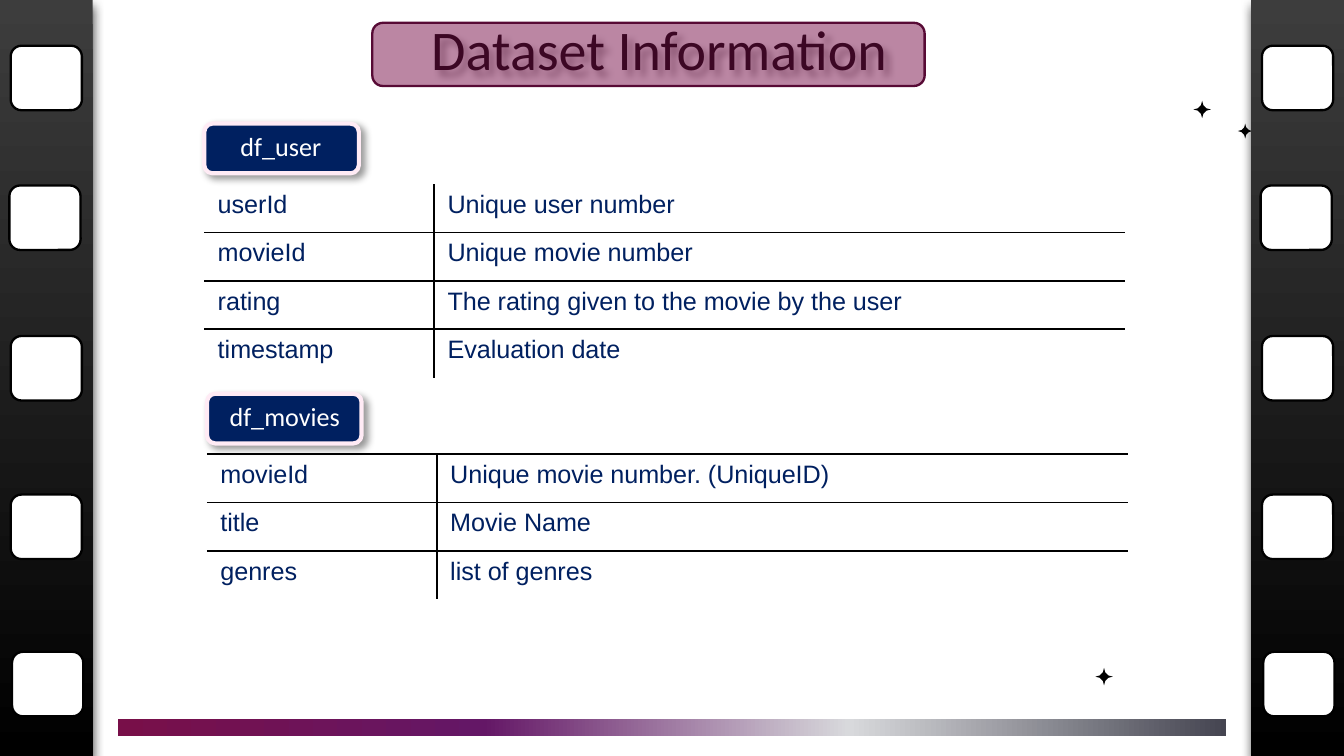
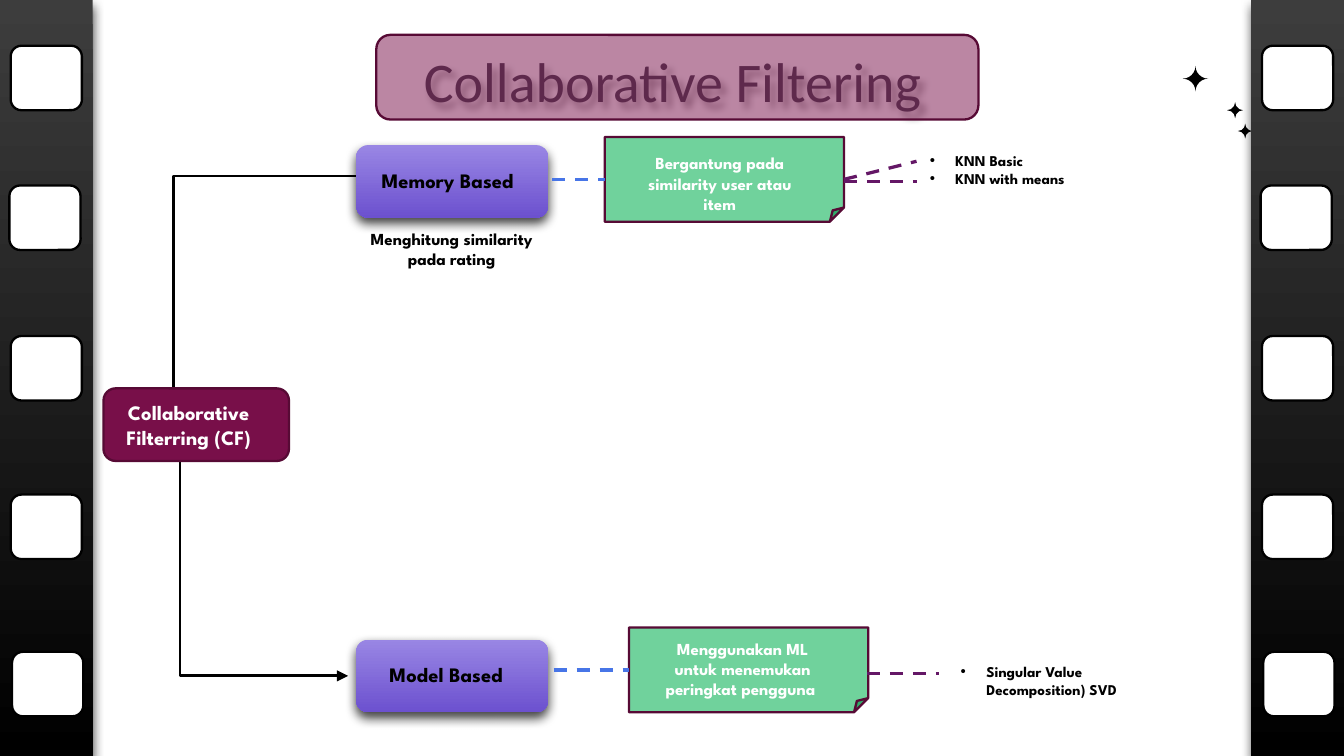
import pptx
import pptx.dml.color
import pptx.enum.dml
import pptx.enum.shapes
import pptx.enum.text
import pptx.oxml
import pptx.oxml.ns
import pptx.util

Inches, Pt = pptx.util.Inches, pptx.util.Pt
Kind = pptx.enum.shapes.MSO_SHAPE
Link = pptx.enum.shapes.MSO_CONNECTOR
Align = pptx.enum.text.PP_ALIGN
qn = pptx.oxml.ns.qn

WIDE = 10
HIGH = WIDE * 9 / 16
BLACK, WHITE, NAVY, WINE, PLUM = "000000", "FFFFFF", "002060", "780F49", "570A35"
BLUE, VIOLET, GREEN, SLATE = "4775E7", "641766", "00B050", "454551"
EDGE = (PLUM, 1.25)
DEEP = (75, 6, 3, 90)  # shadow: opacity, blur, distance, angle
SOFT = (40, 4, 3, 45)
FILM = [(0, "3D3D3D"), (100, BLACK)]
PURPLE = [(0, "9986E4"), (100, "6C51CF")]
BAND = [(0, WINE), (33, VIOLET), (66, "D8D9DC"), (100, SLATE)]
HOLES = [(0.08, 0.34), (0.07, 1.38), (0.08, 2.5), (0.08, 3.68), (0.09, 4.85)]
RIGHT = 9.31
HEAD = "League Spartan"

# label text, its left edge and width, table corner, top rule, rows
TABLES = [
    ("df_user", 1.69, 1.02, (1.52, 1.37), False, [
        ("userId", "Unique user number"),
        ("movieId", "Unique movie number"),
        ("rating", "The rating given to the movie by the user"),
        ("timestamp", "Evaluation date"),
    ]),
    ("df_movies", 1.61, 1.16, (1.54, 3.38), True, [
        ("movieId", "Unique movie number. (UniqueID)"),
        ("title", "Movie Name"),
        ("genres", "list of genres"),
    ]),
]

# method: name and box, note and its text, dash start, list and box, list line
METHODS = [
    {"top": 1.08, "name": ("Memory Based", (2.74, 1.2, 1.52, 0.29)),
     "note": (4.5, 1.02), "text": "Bergantung pada similarity user atau item",
     "spot": (4.61, 1.09), "dash": 4.11,
     "list": (["KNN Basic", "KNN with means"], (6.82, 1.08, 1.48, 0.37)),
     "free": (6.28, 1.35)},
    {"top": 4.76, "name": ("Model Based", (2.8, 4.88, 1.24, 0.29)),
     "note": (4.68, 4.67), "text": "Menggunakan ML untuk menemukan peringkat pengguna ",
     "spot": (4.78, 4.7), "dash": 4.12,
     "list": (["Singular Value Decomposition) SVD"], (7.05, 4.88, 1.48, 0.5)),
     "free": (6.45, 5.01)},
]


def rgb(code):
    return pptx.dml.color.RGBColor.from_string(code)


def xml(tag, inner="", **attrs):
    pairs = "".join(f' {key}="{val}"' for key, val in attrs.items())
    decl = pptx.oxml.ns.nsdecls("a")
    return pptx.oxml.parse_xml(f"<a:{tag} {decl}{pairs}>{inner}</a:{tag}>")


def glow(alpha, blur, dist, angle):
    """Effect list with one outer black shadow."""
    return xml("effectLst", f'<a:outerShdw blurRad="{Pt(blur)}" dist="{Pt(dist)}" '
               f'dir="{angle * 60000}" algn="ctr" rotWithShape="0"><a:srgbClr val="{BLACK}">'
               f'<a:alpha val="{alpha * 1000}"/></a:srgbClr></a:outerShdw>')


def blend(shape, stops, angle):
    """Fill with any number of gradient stops."""
    shape.fill.background()
    old = shape._element.spPr.find(qn("a:noFill"))
    marks = "".join(f'<a:gs pos="{pos * 1000}"><a:srgbClr val="{code}"/></a:gs>'
                    for pos, code in stops)
    new = xml("gradFill", f'<a:gsLst>{marks}</a:gsLst><a:lin ang="{angle * 60000}" '
              'scaled="0"/>', rotWithShape=1)
    old.getparent().replace(old, new)


def block(shapes, kind, at, fill, line=None, alpha=None, shade=None, angle=90):
    shape = shapes.add_shape(kind, *map(Inches, at))
    if isinstance(fill, str):
        shape.fill.solid()
        shape.fill.fore_color.rgb = rgb(fill)
    else:
        blend(shape, fill, angle)
    if alpha:
        tint = shape._element.spPr.find(qn("a:solidFill")).find(qn("a:srgbClr"))
        tint.append(xml("alpha", val=alpha * 1000))
    if line:
        shape.line.color.rgb = rgb(line[0])
        shape.line.width = Pt(line[1])
    else:
        shape.line.fill.background()
    shape.shadow.inherit = False
    if shade:
        props = shape._element.spPr
        props.replace(props.find(qn("a:effectLst")), glow(*shade))
    return shape


def style(run, size, face, code, bold=False):
    run.font.size, run.font.name, run.font.bold = Pt(size), face, bold
    run.font.color.rgb = rgb(code)


def text(slide, at, lines, size, face, code, bold=False, align=Align.LEFT,
         bullet=False, grow=True):
    box = slide.shapes.add_textbox(*map(Inches, at))
    frame = box.text_frame
    frame.word_wrap = True
    if grow:
        frame.auto_size = pptx.enum.text.MSO_AUTO_SIZE.SHAPE_TO_FIT_TEXT
    for num, line in enumerate(lines):
        par = frame.add_paragraph() if num else frame.paragraphs[0]
        par.alignment = align
        if bullet:
            props = par._p.get_or_add_pPr()
            props.set("marL", str(Inches(0.19)))
            props.set("indent", str(-Inches(0.19)))
            props.append(xml("buClr", f'<a:srgbClr val="{code}"/>'))
            props.append(xml("buFont", typeface="Arial"))
            props.append(xml("buChar", char="•"))
        run = par.add_run()
        run.text = line
        style(run, size, face, code, bold)
    return box


def title(slide, words, left, top, code):
    box = text(slide, (left, top, 8.43, 0.63), [words], 30, "Calibri", code,
               align=Align.CENTER, grow=False)
    box.text_frame.margin_top = box.text_frame.margin_bottom = Inches(0.1)
    box._element.spPr.append(glow(*SOFT))


def badge(slide, at):
    """Translucent plate over the title."""
    block(slide.shapes, Kind.ROUNDED_RECTANGLE, at, WINE, EDGE, alpha=50)


def star(shapes, left, top, size):
    shape = block(shapes, Kind.PLAQUE, (left, top, size, size), BLACK)
    shape.adjustments[0] = 0.5


def film(slide):
    """Film strips down both sides."""
    for left, shift in ((0, 0), (RIGHT, RIGHT)):
        shapes = slide.shapes.add_group_shape().shapes
        if left:
            star(shapes, 9.21, 0.92, 0.11)
        block(shapes, Kind.RECTANGLE, (left, 0, 0.69, HIGH), FILM, shade=DEEP)
        for x, y in HOLES:
            block(shapes, Kind.ROUNDED_RECTANGLE, (x + shift, y, 0.53, 0.48),
                  WHITE, (BLACK, 1.25))


def rule(cell, sides):
    """Draw black borders on the named sides and none on the rest."""
    props = cell._tc.get_or_add_tcPr()
    ink = f'<a:solidFill><a:srgbClr val="{BLACK}"/></a:solidFill>'
    for num, side in enumerate("LRTB"):
        props.insert(num, xml("ln" + side, ink if side in sides else "<a:noFill/>",
                              w=Pt(1)))


def grid(slide, corner, rows, topped):
    high = 0.36
    table = slide.shapes.add_table(len(rows), 2, *map(Inches, corner), Inches(6.85),
                                   Inches(high * len(rows))).table
    table.first_row = table.horz_banding = False
    for col, width in zip(table.columns, (1.71, 5.14)):
        col.width = Inches(width)
    for r, row in enumerate(rows):
        table.rows[r].height = Inches(high)
        for c, words in enumerate(row):
            cell = table.cell(r, c)
            cell.fill.background()
            run = cell.text_frame.paragraphs[0].add_run()
            run.text = words
            style(run, 13.5, "Arial", NAVY)
            rule(cell, "RL"[c] + ("T" if r or topped else "")
                 + ("B" if r < len(rows) - 1 else ""))


def wire(slide, start, end, code, width, dash=False):
    line = slide.shapes.add_connector(Link.STRAIGHT, *map(Inches, start + end))
    line.line.color.rgb = rgb(code)
    line.line.width = Pt(width)
    if dash:
        line.line.dash_style = pptx.enum.dml.MSO_LINE.DASH
    line._element.spPr.append(xml("effectLst"))
    return line


def elbow(slide, tip, root):
    """Run from the arrow tip across, then up or down to the root."""
    line = wire(slide, tip, root, BLACK, 1.5)
    props = line._element.spPr
    props.find(qn("a:prstGeom")).set("prst", "bentConnector2")
    props.find(qn("a:ln")).append(xml("headEnd", type="triangle"))


def data(slide):
    title(slide, "Dataset Information", 0.69, 0.01, BLACK)
    block(slide.shapes, Kind.RECTANGLE, (0.88, 5.35, 8.24, 0.13), BAND, angle=0)
    star(slide.shapes, 8.88, 0.75, 0.13)
    star(slide.shapes, 8.15, 4.97, 0.13)
    badge(slide, (2.77, 0.17, 4.11, 0.47))
    film(slide)
    for name, left, width, corner, topped, rows in TABLES:
        grid(slide, corner, rows, topped)
        top = corner[1] - 0.45
        block(slide.shapes, Kind.ROUNDED_RECTANGLE, (corner[0], top, 1.15, 0.37),
              NAVY, ("FFEBF5", 2.25), shade=SOFT)
        text(slide, (left, top, width, 0.34), [name], 14, "Calibri", WHITE)


def tree(slide):
    elbow(slide, (2.86, 1.31), (1.29, 2.96))
    elbow(slide, (2.59, 5.03), (1.34, 3.4))
    title(slide, "Collaborative Filtering", 0.79, 0.25, SLATE)
    block(slide.shapes, Kind.ROUNDED_RECTANGLE, (0.77, 2.89, 1.38, 0.54), WINE, EDGE)
    text(slide, (0.73, 2.93, 1.35, 0.47), ["Collaborative Filterring (CF)"], 11, HEAD,
         WHITE, True, Align.CENTER)
    for way in METHODS:
        block(slide.shapes, Kind.ROUNDED_RECTANGLE, (2.65, way["top"], 1.43, 0.54),
              PURPLE, shade=DEEP)
        name, place = way["name"]
        text(slide, place, [name], 11, HEAD, BLACK, True)
        left, top = way["note"]
        mid = top + 0.63 / 2
        note = block(slide.shapes, Kind.FOLDED_CORNER, (left, top, 1.78, 0.63),
                     GREEN, EDGE, alpha=56)
        text(slide, way["spot"] + (1.49, 0.56), [way["text"]], 9, HEAD, WHITE, True,
             Align.CENTER)
        link = wire(slide, (way["dash"], mid), (left, mid), BLUE, 1.75, True)
        link.end_connect(note, 1)
        x, y = way["free"]
        wire(slide, (x, y), (x + 0.54, y), VIOLET, 1.75, True)
        items, place = way["list"]
        text(slide, place, items, 8, HEAD, BLACK, True, bullet=True)
        if len(items) > 1:
            fork = wire(slide, (x, mid), (x + 0.54, 1.2), VIOLET, 1.75, True)
            fork.begin_connect(note, 3)
    text(slide, (2.57, 1.65, 1.58, 0.4), ["Menghitung similarity pada rating"], 9, HEAD,
         BLACK, True, Align.CENTER)
    film(slide)
    badge(slide, (2.8, 0.26, 4.48, 0.63))
    star(slide.shapes, 9.13, 0.76, 0.12)
    star(slide.shapes, 8.8, 0.49, 0.19)


def main():
    deck = pptx.Presentation()
    deck.slide_width, deck.slide_height = Inches(WIDE), Inches(HIGH)
    for build in (data, tree):
        build(deck.slides.add_slide(deck.slide_layouts[6]))
    deck.save("out.pptx")


if __name__ == "__main__":
    main()
